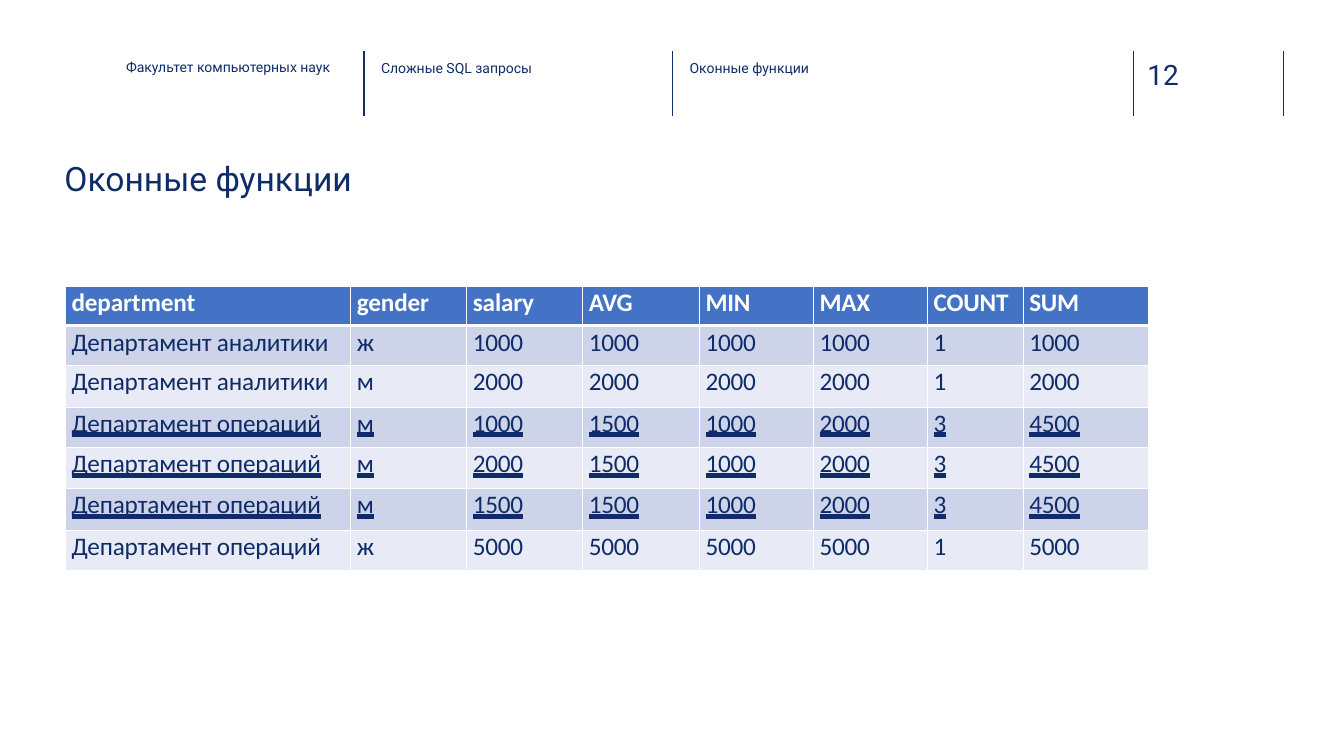
from lxml.etree import SubElement
from pptx import Presentation
from pptx.dml.color import RGBColor
from pptx.enum.shapes import MSO_CONNECTOR
from pptx.enum.text import MSO_AUTO_SIZE, MSO_UNDERLINE
from pptx.oxml import parse_xml
from pptx.oxml.ns import nsdecls, qn
from pptx.util import Pt

PX = 9144  # 100 px to the inch
NAVY, RULE, HEADER_NAVY = "0F2C68", "102D69", "0E2D69"
WHITE, BLUE, BAND_DARK, BAND_LIGHT = "FFFFFF", "4472C4", "CDD4EA", "E8EBF5"

COLUMNS = [283, 115, 115, 116, 113, 113, 95, 124]
ROW_HEIGHTS = [39, 40, 41, 40, 41, 41, 40]
HEADINGS = ["department", "gender", "salary", "AVG", "MIN", "MAX", "COUNT", "SUM"]
ANALYTICS, OPERATIONS = "Департамент аналитики", "Департамент операций"
SALARIES = [
    (ANALYTICS, "ж", 1000, 1000, 1000, 1000, 1, 1000),
    (ANALYTICS, "м", 2000, 2000, 2000, 2000, 1, 2000),
    (OPERATIONS, "м", 1000, 1500, 1000, 2000, 3, 4500),
    (OPERATIONS, "м", 2000, 1500, 1000, 2000, 3, 4500),
    (OPERATIONS, "м", 1500, 1500, 1000, 2000, 3, 4500),
    (OPERATIONS, "ж", 5000, 5000, 5000, 5000, 1, 5000),
]
SHARED_WINDOW = (OPERATIONS, "м")


def px(*lengths):
    return [length * PX for length in lengths]


def color(value):
    return RGBColor.from_string(value)


def write(frame, text, indent, before, tint, spacing, **font):
    """Fill a text frame or cell with one paragraph; spacing is in 1/100 pt."""
    para = frame.paragraphs[0]
    para.space_before = Pt(before)
    para._p.get_or_add_pPr().set("marL", str(indent * PX))
    run = para.add_run()
    run.text = text
    run.font.color.rgb = color(tint)
    for name, value in font.items():
        setattr(run.font, name, value)
    run._r.get_or_add_rPr().set("spc", str(spacing))


def set_margins(holder, top):
    margins = {"left": 0, "top": top * PX, "right": 0, "bottom": 0}
    for side, value in margins.items():
        setattr(holder, f"margin_{side}", value)


def add_label(page, box, text, size, tint=NAVY, spacing=0):
    frame = page.shapes.add_textbox(*px(*box)).text_frame
    frame.word_wrap = True
    frame.auto_size = MSO_AUTO_SIZE.SHAPE_TO_FIT_TEXT
    set_margins(frame, 1)
    write(frame, text, 1, 1, tint, spacing, size=Pt(size), name="Roboto")


def add_header(page, box):
    left, top, width, height = box
    for offset in (0, 306, 763, width):
        x = left + offset
        rule = page.shapes.add_connector(
            MSO_CONNECTOR.STRAIGHT, *px(x, top, x, top + height))
        rule.line.color.rgb = color(RULE)
        rule.line.width = Pt(1)
        SubElement(rule._element.spPr, qn("a:effectLst"))
    labels = [
        (-237, 6, 208, 19, "Факультет компьютерных наук", 10, NAVY),
        (16, 7, 155, 19, "Сложные SQL запросы", 10, HEADER_NAVY),
        (322, 7, 124, 19, "Оконные функции", 10, HEADER_NAVY),
        (776, 5, 34, 36, "12", 20, RULE),
    ]
    for x, y, label_width, label_height, text, size, tint in labels:
        add_label(page, (left + x, top + y, label_width, label_height),
                  text, size, tint)


def add_borders(cell, top, bottom):
    properties = cell._tc.get_or_add_tcPr()
    edges = {"lnL": 1, "lnR": 1, "lnT": top, "lnB": bottom}
    for index, (edge, width) in enumerate(edges.items()):
        properties.insert(index, parse_xml(
            f'<a:{edge} {nsdecls("a")} w="{Pt(width)}"><a:solidFill>'
            f'<a:srgbClr val="{WHITE}"/></a:solidFill></a:{edge}>'))


def letter_spacing(text):
    if len(text) == 1:
        return -50
    return -20 if len(text) <= 4 else -10


def add_salary_table(page, box):
    rows = [HEADINGS, *SALARIES]
    table = page.shapes.add_table(len(rows), len(COLUMNS), *px(*box)).table
    for column, width in zip(table.columns, COLUMNS):
        column.width = width * PX
    for row, height in zip(table.rows, ROW_HEIGHTS):
        row.height = height * PX
    for r, values in enumerate(rows):
        heading = r == 0
        fill = BLUE if heading else (BAND_LIGHT, BAND_DARK)[r % 2]
        shared = tuple(values[:2]) == SHARED_WINDOW
        font = {
            "size": Pt(18),
            "name": "Calibri",
            "bold": heading,
            "underline": MSO_UNDERLINE.HEAVY_LINE if shared else False,
        }
        for c, value in enumerate(values):
            cell, text = table.cell(r, c), str(value)
            cell.fill.solid()
            cell.fill.fore_color.rgb = color(fill)
            set_margins(cell, 2 if r == 1 else 1)
            add_borders(cell, 3 if r == 1 else 1, 3 if heading else 1)
            write(cell.text_frame, text, 6, 1.6 if r == 1 else 0.6,
                  WHITE if heading else NAVY, letter_spacing(text), **font)


def main():
    deck = Presentation()
    deck.slide_width, deck.slide_height = px(1333, 750)
    page = deck.slides.add_slide(deck.slide_layouts[6])
    add_header(page, (361, 51, 912, 64))
    add_label(page, (63, 156, 294, 43), "Оконные функции", 24)
    add_salary_table(page, (65, 284, sum(COLUMNS), sum(ROW_HEIGHTS)))
    deck.save("out.pptx")


if __name__ == "__main__":
    main()
